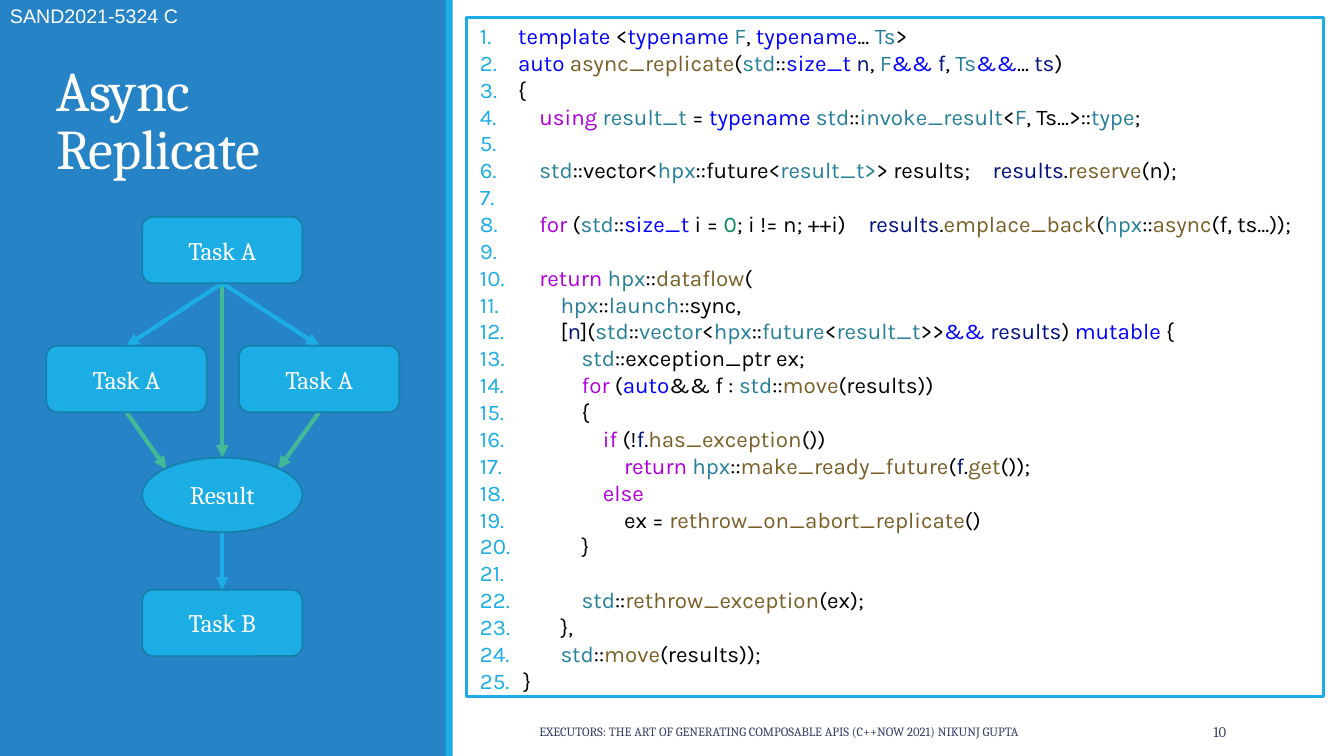
from lxml.etree import SubElement
from pptx import Presentation
from pptx.dml.color import RGBColor
from pptx.enum.shapes import MSO_CONNECTOR, MSO_SHAPE
from pptx.enum.text import MSO_ANCHOR, MSO_AUTO_SIZE, PP_ALIGN
from pptx.oxml.ns import qn
from pptx.util import Inches, Pt

COLORS = {
    "panel": "2683C6", "accent": "1CADE4", "outline": "1580A9",
    "green": "42BA97", "white": "FFFFFF", "footer": "344068",
}
SYNTAX = {
    "k": "000000", "b": "0000FF", "t": "267F99", "f": "795E26",
    "v": "001080", "c": "AF00DB", "n": "098658",
}
CODE = [
    (0, "`btemplate`k <`btypename `tF`k, `btypename`k... `tTs`k>"),
    (0, "`bauto `fasync_replicate`k(`tstd`k::`bsize_t `vn`k, `tF`b&& `vf`k, `tTs`b&&`k... `vts`k)"),
    (0, "`k{"),
    (1, "`cusing `tresult_t`k = `btypename `tstd`k::`tinvoke_result`k<`tF`k, Ts...>::`ttype`k;"),
    (0, "`k "),
    (1, "`tstd`k::vector<`thpx`k::future<`tresult_t>`k> results;\u2003`vresults`k.`freserve`k(n);"),
    (0, "`k "),
    (1, "`cfor`k (`tstd`k::`bsize_t `ki = `n0`k; i != n; ++i)\u2003"
        "`vresults`k.`femplace_back`k(`thpx`k::`fasync`k(f, ts...));"),
    (0, "`k "),
    (1, "`creturn `thpx`k::`fdataflow`k("),
    (2, "`thpx`k::`tlaunch`k::sync,"),
    (2, "`k[`vn`k](`tstd`k::`tvector`k<`thpx`k::`tfuture`k<`tresult_t`k>>`b&& `vresults`k) `bmutable`k {"),
    (3, "`tstd`k::exception_ptr ex;"),
    (3, "`cfor`k (`bauto`k&& f : `tstd`k::`fmove`k(results))"),
    (3, "`k{"),
    (4, "`cif`k (!`vf`k.`fhas_exception`k())"),
    (5, "`creturn `thpx`k::`fmake_ready_future`k(`vf`k.`fget`k());"),
    (4, "`celse"),
    (5, "`kex = `frethrow_on_abort_replicate`k()"),
    (3, "`k}"),
    (0, "`k "),
    (3, "`tstd`k::`frethrow_exception`k(ex);"),
    (2, "`k},"),
    (2, "`tstd`k::`fmove`k(results));"),
    (0, "`k }"),
]

NODE_WIDTH, NODE_HEIGHT, RESULT_HEIGHT = 1.59, 0.66, 0.74
NODES = {
    "first": ("Task A", MSO_SHAPE.ROUNDED_RECTANGLE, 1.41, 2.15, NODE_HEIGHT),
    "left": ("Task A", MSO_SHAPE.ROUNDED_RECTANGLE, 0.46, 3.43, NODE_HEIGHT),
    "right": ("Task A", MSO_SHAPE.ROUNDED_RECTANGLE, 2.37, 3.43, NODE_HEIGHT),
    "result": ("Result", MSO_SHAPE.OVAL, 1.41, 4.54, RESULT_HEIGHT),
    "last": ("Task B", MSO_SHAPE.ROUNDED_RECTANGLE, 1.41, 5.85, NODE_HEIGHT),
}
ANCHORS = {
    "top": (0.5, 0), "bottom": (0.5, 1),
    "top left": (0.15, 0.15), "top right": (0.85, 0.15),
}
ARROWS = [
    ("first", "result", "top", "green"),
    ("first", "left", "top", "accent"),
    ("first", "right", "top", "accent"),
    ("right", "result", "top right", "green"),
    ("left", "result", "top left", "green"),
    ("result", "last", "top", "accent"),
]
LABELS = [
    ("Async Replicate", (0.46, 0.4, 3.5, 1.44), "Cambria", 40, "white", MSO_ANCHOR.BOTTOM, PP_ALIGN.LEFT),
    ("SAND2021-5324 C", (0, -0.01, 1.89, 0.34), "Arial", 14, "white", MSO_ANCHOR.TOP, PP_ALIGN.LEFT),
    ("EXECUTORS: THE ART OF GENERATING COMPOSABLE APIS (C++NOW 2021) NIKUNJ GUPTA",
     (5.25, 7.06, 5.08, 0.4), "Cambria", 9, "footer", MSO_ANCHOR.MIDDLE, PP_ALIGN.LEFT),
    ("10", (10.83, 7.06, 1.43, 0.4), "Cambria", 10.5, "footer", MSO_ANCHOR.MIDDLE, PP_ALIGN.RIGHT),
]
CODE_MARGIN, NUMBER_WIDTH, INDENT_STEP = 0.51, 0.38, 0.21


def rgb(name):
    return RGBColor.from_string(COLORS[name])


def style_font(run, name, size, color):
    run.font.name = name
    run.font.size = Pt(size)
    run.font.color.rgb = color


def add_box(kind, box, fill, line=None, width=0):
    shape = slide.shapes.add_shape(kind, *map(Inches, box))
    shape.shadow.inherit = False
    shape.fill.solid()
    shape.fill.fore_color.rgb = rgb(fill)
    if line:
        shape.line.color.rgb = rgb(line)
        shape.line.width = Pt(width)
    else:
        shape.line.fill.background()
    return shape


def add_label(shape, text, font, size, color, anchor, alignment):
    text_frame = shape.text_frame
    text_frame.word_wrap = True
    text_frame.vertical_anchor = anchor
    text_frame.text = text
    paragraph = text_frame.paragraphs[0]
    paragraph.alignment = alignment
    style_font(paragraph.runs[0], font, size, rgb(color))
    return paragraph


def anchor_point(node, anchor):
    left, top, height = NODES[node][2:]
    across, down = ANCHORS[anchor]
    return Inches(left + NODE_WIDTH * across), Inches(top + height * down)


def add_arrow(source, target, anchor, color):
    arrow = slide.shapes.add_connector(
        MSO_CONNECTOR.STRAIGHT, *anchor_point(source, "bottom"), *anchor_point(target, anchor))
    arrow.line.color.rgb = rgb(color)
    arrow.line.width = Pt(3)
    SubElement(arrow.line._get_or_add_ln(), qn("a:tailEnd"), type="triangle")
    SubElement(arrow._element.spPr, qn("a:effectLst"))


def add_code_line(paragraph, number, level, source):
    paragraph.alignment = PP_ALIGN.LEFT
    paragraph.line_spacing = Pt(19.2)
    properties = paragraph._p.get_or_add_pPr()
    shift = INDENT_STEP * level
    properties.set("marL", str(Inches(CODE_MARGIN + shift)))
    properties.set("indent", str(-Inches(NUMBER_WIDTH + shift)))
    bullet_color = SubElement(properties, qn("a:buClr"))
    SubElement(bullet_color, qn("a:srgbClr"), val=COLORS["accent"])
    SubElement(properties, qn("a:buFont"), typeface="Karla")
    SubElement(properties, qn("a:buAutoNum"), type="arabicPeriod", startAt=str(number))
    for token in source.split("`")[1:]:
        run = paragraph.add_run()
        run.text = token[1:].replace(" ", "\u00a0")
        style_font(run, "Karla", 16, RGBColor.from_string(SYNTAX[token[0]]))


presentation = Presentation()
presentation.slide_width = Inches(13.33)
presentation.slide_height = Inches(7.5)
slide = presentation.slides.add_slide(presentation.slide_layouts[6])

add_box(MSO_SHAPE.RECTANGLE, (0, 0, 4.43, 7.5), "panel")
add_box(MSO_SHAPE.RECTANGLE, (4.42, 0, 0.07, 7.5), "accent")

code_box = add_box(MSO_SHAPE.RECTANGLE, (4.63, 0.17, 8.5, 6.74), "white", "accent", 2)
code_frame = code_box.text_frame
code_frame.word_wrap = True
code_frame.vertical_anchor = MSO_ANCHOR.TOP
code_frame.margin_left = code_frame.margin_right = 0
for number, (level, source) in enumerate(CODE, 1):
    paragraph = code_frame.paragraphs[0] if number == 1 else code_frame.add_paragraph()
    add_code_line(paragraph, number, level, source)

for arrow in ARROWS:
    add_arrow(*arrow)
for text, kind, left, top, height in NODES.values():
    node = add_box(kind, (left, top, NODE_WIDTH, height), "accent", "outline", 1.25)
    add_label(node, text, "Cambria", 18, "white", MSO_ANCHOR.MIDDLE, PP_ALIGN.CENTER)

labels = []
for text, box, *style in LABELS:
    text_box = slide.shapes.add_textbox(*map(Inches, box))
    labels.append((text_box, add_label(text_box, text, *style)))

title = labels[0][1]
title.line_spacing = 0.85
title.runs[0]._r.get_or_add_rPr().set("spc", "-50")
report_number = labels[1][0].text_frame
report_number.word_wrap = False
report_number.auto_size = MSO_AUTO_SIZE.SHAPE_TO_FIT_TEXT

presentation.save("out.pptx")
